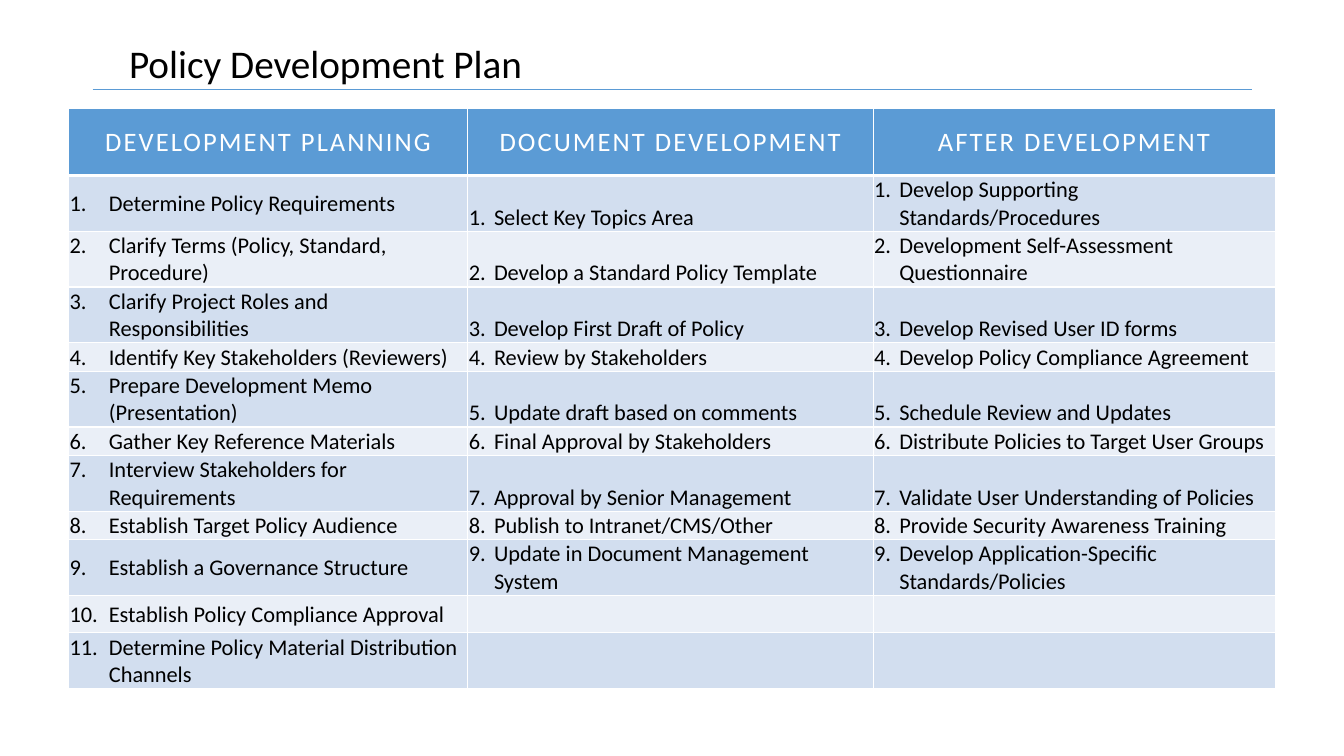
from dataclasses import dataclass
from itertools import zip_longest

from lxml.etree import SubElement
from pptx import Presentation
from pptx.dml.color import RGBColor as RGB
from pptx.enum.shapes import MSO_CONNECTOR as Link
from pptx.enum.text import MSO_ANCHOR as Anchor, PP_ALIGN as Align
from pptx.oxml.ns import qn
from pptx.util import Inches, Pt


@dataclass(frozen=True)
class Theme:
    font: str = "Calibri"
    accent: str = "5B9BD5"
    bands: tuple = ("D2DEEF", "EAEFF7")
    ink: str = "000000"
    white: str = "FFFFFF"
    title: int = 28
    head: int = 19
    body: int = 16


THEME = Theme()
WIDTHS = (3.96, 4.02, 3.99)
HANGS = (0.39, 0.25, 0.25)
ANCHORS = (Anchor.MIDDLE, Anchor.BOTTOM, Anchor.BOTTOM)
PLAN = {
    "DEVELOPMENT PLANNING": (
        "Determine Policy Requirements",
        "Clarify Terms (Policy, Standard, Procedure)",
        "Clarify Project Roles and Responsibilities",
        "Identify Key Stakeholders (Reviewers)",
        "Prepare Development Memo (Presentation)",
        "Gather Key Reference Materials",
        "Interview Stakeholders for Requirements",
        "Establish Target Policy Audience",
        "Establish a Governance Structure",
        "Establish Policy Compliance Approval",
        "Determine Policy Material Distribution Channels",
    ),
    "DOCUMENT DEVELOPMENT": (
        "Select Key Topics Area",
        "Develop a Standard Policy Template",
        "Develop First Draft of Policy",
        "Review by Stakeholders",
        "Update draft based on comments",
        "Final Approval by Stakeholders",
        "Approval by Senior Management",
        "Publish to Intranet/CMS/Other",
        "Update in Document Management System",
    ),
    "AFTER DEVELOPMENT": (
        "Develop Supporting Standards/Procedures",
        "Development Self-Assessment Questionnaire",
        "Develop Revised User ID forms",
        "Develop Policy Compliance Agreement",
        "Schedule Review and Updates",
        "Distribute Policies to Target User Groups",
        "Validate User Understanding of Policies",
        "Provide Security Awareness Training",
        "Develop Application-Specific Standards/Policies",
    ),
}


def put(item, **values):
    for name, value in values.items():
        setattr(item, name, value)


def write(para, text, size, color):
    run = para.add_run()
    run.text = text
    put(run.font, name=THEME.font, size=Pt(size), bold=False)
    run.font.color.rgb = RGB.from_string(color)
    return run


def add_title(slide, text):
    title = slide.shapes.title
    put(title, left=Inches(1.18), top=Inches(0.36),
        width=Inches(11), height=Inches(0.59))
    put(title.text_frame, vertical_anchor=Anchor.MIDDLE, word_wrap=True)
    para = title.text_frame.paragraphs[0]
    put(para, alignment=Align.LEFT, line_spacing=0.9)
    write(para, text, THEME.title, THEME.ink)


def add_rule(slide):
    rule = slide.shapes.add_connector(
        Link.STRAIGHT, Inches(0.92), Inches(0.89), Inches(12.42), Inches(0.89))
    rule.line.color.rgb = RGB.from_string(THEME.accent)
    rule.line.width = Pt(1)
    SubElement(rule.element.spPr, qn("a:effectLst"))


def paint(cell, color, base=1):
    """Draw white borders, the lower one base points wide, and fill the cell."""
    props = cell._tc.get_or_add_tcPr()
    for side, width in zip("LRTB", (1, 1, 1, base)):
        line = SubElement(props, qn(f"a:ln{side}"), w=str(Pt(width)))
        fill = SubElement(line, qn("a:solidFill"))
        SubElement(fill, qn("a:srgbClr"), val=THEME.white)
    cell.fill.solid()
    cell.fill.fore_color.rgb = RGB.from_string(color)


def fill_head(cell, text):
    paint(cell, THEME.accent, 3)
    pad = Inches(0.17)
    put(cell, vertical_anchor=Anchor.MIDDLE, margin_left=pad,
        margin_right=pad, margin_top=pad, margin_bottom=pad)
    para = cell.text_frame.paragraphs[0]
    para.alignment = Align.CENTER
    run = write(para, text, THEME.head, THEME.white)
    run.font._element.set("spc", "150")


def fill_step(cell, text, num, hang, anchor):
    pad = Inches(0.01)
    put(cell, vertical_anchor=anchor, margin_left=pad,
        margin_right=pad, margin_top=pad, margin_bottom=0)
    para = cell.text_frame.paragraphs[0]
    props = para._p.get_or_add_pPr()
    props.set("marL", str(Inches(hang)))
    props.set("indent", str(-Inches(hang)))
    SubElement(props, qn("a:buFont"), typeface="+mj-lt")
    SubElement(props, qn("a:buAutoNum"), type="arabicPeriod", startAt=str(num))
    write(para, text, THEME.body, THEME.ink)


def fill_blank(cell):
    para = cell.text_frame.paragraphs[0]
    SubElement(para._p, qn("a:endParaRPr"), sz=str(THEME.body * 100))


def add_plan(slide):
    steps = list(zip_longest(*PLAN.values()))
    frame = slide.shapes.add_table(
        len(steps) + 1, len(PLAN), Inches(0.68), Inches(1.08),
        Inches(sum(WIDTHS)), Inches(5.63))
    table = frame.table
    for col, width in zip(table.columns, WIDTHS):
        col.width = Inches(width)
    for row in table.rows:
        row.height = Inches(0.2)
    frame.height = Inches(5.63)
    for col, head in enumerate(PLAN):
        fill_head(table.cell(0, col), head)
    for num, texts in enumerate(steps, 1):
        for col, text in enumerate(texts):
            cell = table.cell(num, col)
            paint(cell, THEME.bands[(num - 1) % 2])
            if text:
                fill_step(cell, text, num, HANGS[col], ANCHORS[col])
            else:
                fill_blank(cell)


def main():
    deck = Presentation()
    put(deck, slide_width=Inches(13.33), slide_height=Inches(7.5))
    slide = deck.slides.add_slide(deck.slide_layouts[5])
    add_rule(slide)
    add_title(slide, "Policy Development Plan")
    add_plan(slide)
    deck.save("out.pptx")


if __name__ == "__main__":
    main()
